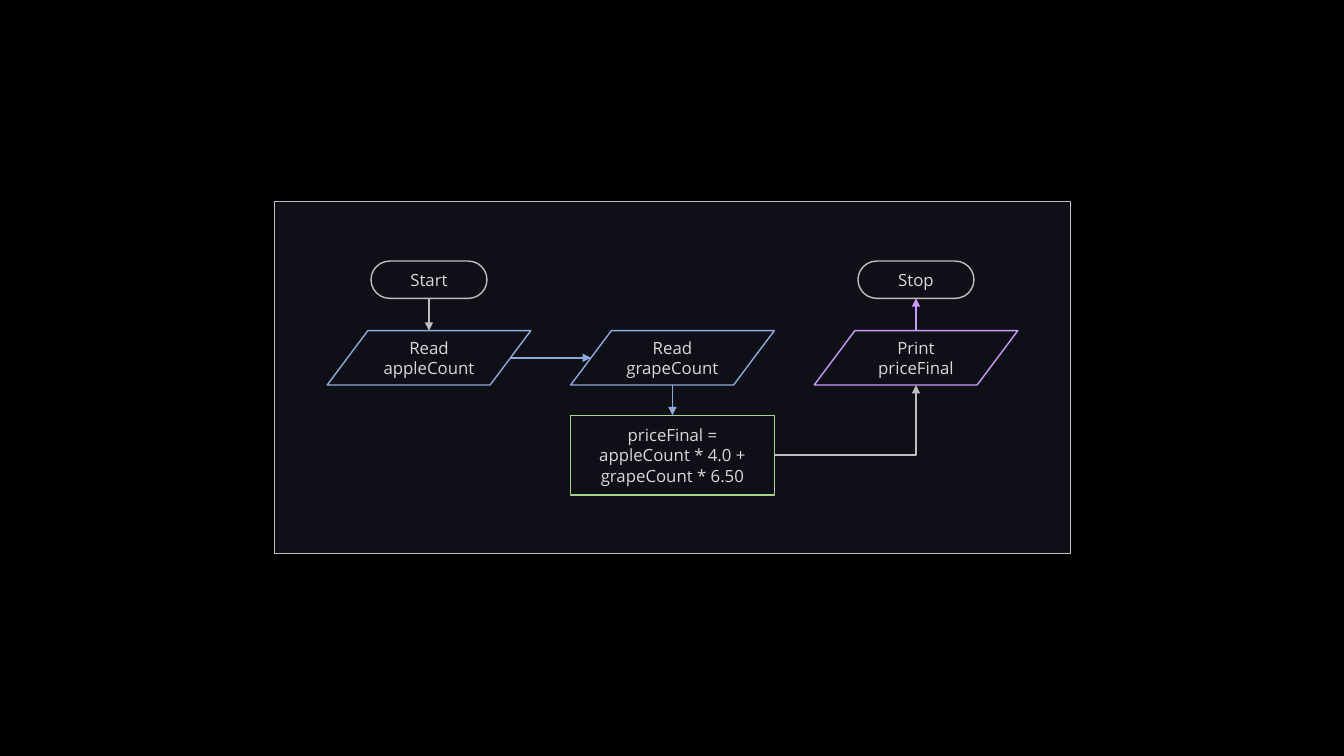
from dataclasses import dataclass
from lxml.etree import SubElement
from pptx import Presentation
from pptx.dml.color import RGBColor
from pptx.enum.shapes import MSO_CONNECTOR, MSO_SHAPE
from pptx.enum.text import MSO_ANCHOR, PP_ALIGN
from pptx.oxml.ns import qn
from pptx.util import Inches, Pt


@dataclass(frozen=True)
class Theme:
    background: str = "000000"
    panel: str = "0F1017"
    text: str = "D9D9D9"
    neutral: str = "BFBFBF"
    read: str = "8FAADC"
    compute: str = "A9D18E"
    output: str = "CC99FF"
    font: str = "Open Sans"
    text_size: int = 12
    line_width: int = 1


theme = Theme()

presentation = Presentation()
presentation.slide_width = Inches(13.33)
presentation.slide_height = Inches(7.5)
slide = presentation.slides.add_slide(presentation.slide_layouts[6])
slide.background.fill.solid()
slide.background.fill.fore_color.rgb = RGBColor.from_string(theme.background)
flowchart = slide.shapes.add_group_shape()


def add_node(kind, center, top, width, height, color, text=""):
    shape = flowchart.shapes.add_shape(
        kind, Inches(center - width / 2), Inches(top), Inches(width), Inches(height)
    )
    shape.shadow.inherit = False
    shape.fill.background()
    shape.line.color.rgb = RGBColor.from_string(color)
    shape.line.width = Pt(theme.line_width)
    if text:
        frame = shape.text_frame
        frame.word_wrap = True
        frame.vertical_anchor = MSO_ANCHOR.MIDDLE
        paragraph = frame.paragraphs[0]
        paragraph.alignment = PP_ALIGN.CENTER
        run = paragraph.add_run()
        run.text = text
        run.font.name = theme.font
        run.font.size = Pt(theme.text_size)
        run.font.color.rgb = RGBColor.from_string(theme.text)
    return shape


def add_arrow(start, end, color, kind=MSO_CONNECTOR.STRAIGHT):
    connector = flowchart.shapes.add_connector(
        kind, *[Inches(value) for value in (*start, *end)]
    )
    connector.line.color.rgb = RGBColor.from_string(color)
    connector.line.width = Pt(theme.line_width)
    properties = connector._element.spPr
    SubElement(properties.find(qn("a:ln")), qn("a:tailEnd"), type="triangle")
    SubElement(properties, qn("a:effectLst"))
    return connector


middle = 6.67
column_gap = 2.415
left, right = middle - column_gap, middle + column_gap
end_top, end_width, end_height = 2.59, 1.15, 0.37
step_top, step_width, step_height = 3.28, 2.02, 0.54
formula_top, formula_height = 4.12, 0.79
end_bottom = end_top + end_height
step_bottom = step_top + step_height
step_middle = step_top + step_height / 2
formula_middle = formula_top + formula_height / 2
slanted_side = step_width * 0.4

panel = add_node(MSO_SHAPE.RECTANGLE, middle, 2, 7.89, 3.49, theme.neutral)
panel.fill.solid()
panel.fill.fore_color.rgb = RGBColor.from_string(theme.panel)

for center, label in ((left, "Start"), (right, "Stop")):
    add_node(MSO_SHAPE.FLOWCHART_TERMINATOR, center, end_top, end_width, end_height,
             theme.neutral, label)

for center, label, color in (
    (left, "Read appleCount", theme.read),
    (middle, "Read grapeCount", theme.read),
    (right, "Print priceFinal", theme.output),
):
    add_node(MSO_SHAPE.FLOWCHART_DATA, center, step_top, step_width, step_height,
             color, label)

add_node(MSO_SHAPE.RECTANGLE, middle, formula_top, step_width, formula_height,
         theme.compute, "priceFinal = appleCount * 4.0 + grapeCount * 6.50")

for start, end, color in (
    ((left, end_bottom), (left, step_top), theme.neutral),
    ((left + slanted_side, step_middle), (middle - slanted_side, step_middle), theme.read),
    ((middle, step_bottom), (middle, formula_top), theme.read),
    ((right, step_top), (right, end_bottom), theme.output),
):
    add_arrow(start, end, color)

formula_to_print = add_arrow(
    (middle + step_width / 2, formula_middle), (right, step_bottom),
    theme.neutral, MSO_CONNECTOR.ELBOW,
)
formula_to_print._element.spPr.find(qn("a:prstGeom")).set("prst", "bentConnector2")

presentation.save("out.pptx")
